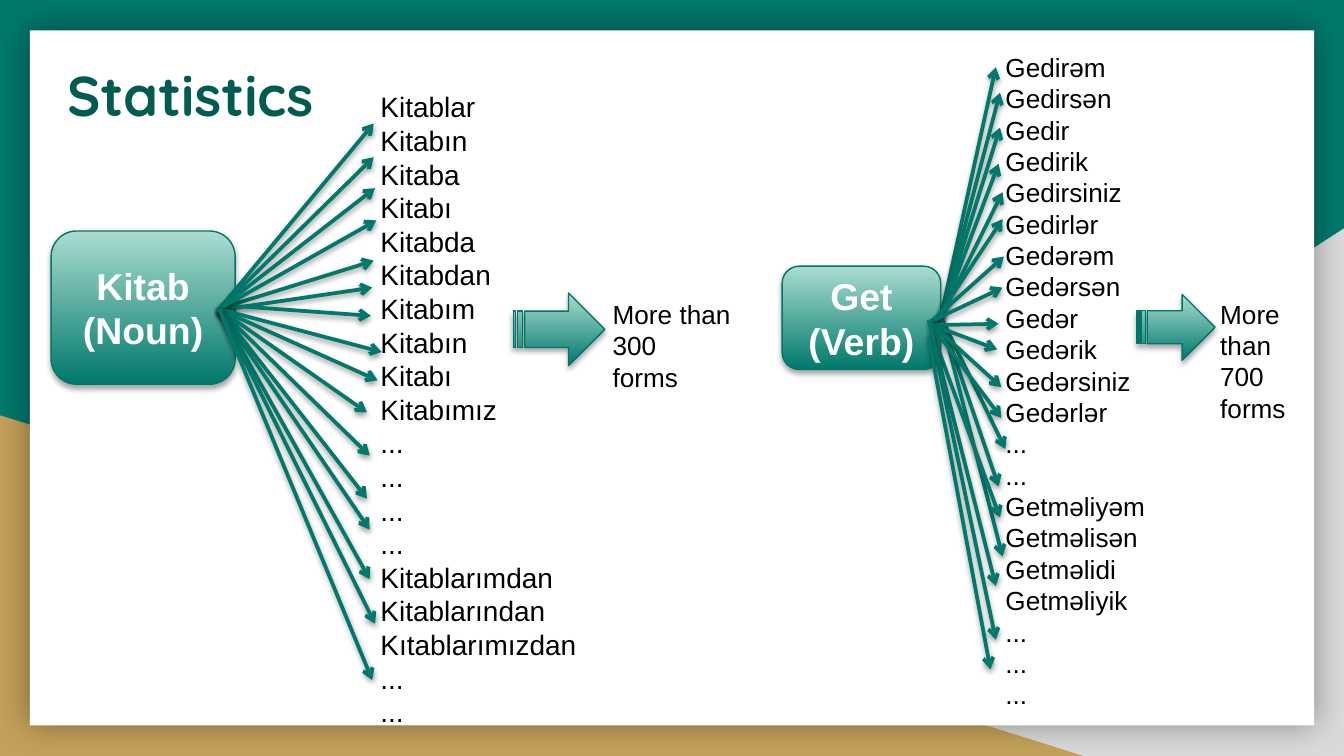
from dataclasses import dataclass

from lxml.etree import SubElement
from pptx import Presentation
from pptx.dml.color import RGBColor
from pptx.enum.shapes import MSO_CONNECTOR, MSO_SHAPE
from pptx.enum.text import MSO_ANCHOR, MSO_AUTO_SIZE, PP_ALIGN
from pptx.oxml.ns import qn
from pptx.util import Pt

TEAL = RGBColor(0x00, 0x79, 0x6B)
EDGE = RGBColor(0x00, 0x76, 0x69)
MINT = RGBColor(0xAB, 0xDC, 0xD1)
DEEP = RGBColor(0x00, 0x5B, 0x50)
SAND = RGBColor(0xC4, 0xA1, 0x5A)
GREY = RGBColor(0xD9, 0xD9, 0xD9)
WHITE = RGBColor(0xFF, 0xFF, 0xFF)
BLACK = RGBColor(0x00, 0x00, 0x00)
LINE_HEIGHT = 1.2

Point = tuple[float, float]
Box = tuple[float, float, float, float]


@dataclass
class Shadow:
    alpha: int
    blur: float
    dist: float = 0
    angle: int = 90


@dataclass
class Fan:
    start: Point
    ends: list[Point]


@dataclass
class WordGroup:
    root: list[str]
    root_box: Box
    forms: list[str]
    forms_box: Box
    size: int
    fans: list[Fan]
    arrow_box: Box
    total: list[str]
    total_box: Box


DOTS = "..."
GROUPS = [
    WordGroup(
        ["Kitab (Noun)"], (27.4, 123.8, 98.6, 82.1),
        ["Kitablar", "Kitabın", "Kitaba", "Kitabı", "Kitabda", "Kitabdan", "Kitabım",
         "Kitabın", "Kitabı", "Kitabımız", *[DOTS] * 4, "Kitablarımdan",
         "Kitablarından", "Kıtablarımızdan", *[DOTS] * 2],
        (196.6, 44.6, 119.5, 352.8), 15,
        [Fan((123.8, 163.4), [(200.2, 139.7)]),
         Fan((116.6, 166.3), [(199.4, 154.1)]),
         Fan((118.1, 163.4), [(198.7, 169.2)]),
         Fan((117.4, 165.6), [
             (200.2, 66.2), (200.2, 84.2), (200.9, 100.8), (201.6, 118.1),
             (204.5, 188.6), (202.3, 203.8), (196.6, 221), (198, 244.1),
             (196.6, 267.1), (198, 283.7), (198, 310.3), (200.9, 334.1),
             (199.4, 364.3)])],
        (275, 157, 49, 38.9), ["More than 300", "forms"], (321.1, 156.2, 87.1, 58.3)),
    WordGroup(
        ["Get", "(Verb)"], (419, 142.6, 85, 55.4),
        ["Gedirəm", "Gedirsən", "Gedir", "Gedirik", "Gedirsiniz", "Gedirlər",
         "Gedərəm", "Gedərsən", "Gedər", "Gedərik", "Gedərsiniz", "Gedərlər",
         *[DOTS] * 2, "Getməliyəm", "Getməlisən", "Getməlidi", "Getməliyik",
         *[DOTS] * 3],
        (531.4, 23.8, 92.2, 363.6), 14,
        [Fan((504, 169.9), [
            (533.5, 36), (535.7, 49.7), (535.7, 68.4), (535, 87.8),
            (537.1, 103), (538.6, 240.5), (535, 260.6), (537.1, 298.1)]),
         Fan((500.4, 172.8), [(537.1, 117.4)]),
         Fan((499, 172.1), [(537.8, 137.5)]),
         Fan((500.4, 171.4), [(537.1, 154.1)]),
         Fan((501.1, 174.2), [(535, 173.5)]),
         Fan((501.8, 175), [(534.2, 187.2)]),
         Fan((498.2, 172.8), [(536.4, 207.4)]),
         Fan((501.1, 177.1), [(536.4, 223.9)]),
         Fan((499, 177.1), [(535.7, 277.2)]),
         Fan((497.5, 171.4), [(533.5, 313.9)]),
         Fan((499, 178.6), [(533.5, 342.7)]),
         Fan((497.5, 180.7), [(530.6, 358.6)])],
        (609.1, 157.7, 41.8, 35.3), ["More than 700", "forms"], (646.6, 156.2, 67, 74.9)),
]


def pts(values) -> list[Pt]:
    return [Pt(v) for v in values]


def place(sp, box: Box) -> None:
    sp.left, sp.top, sp.width, sp.height = pts(box)


def add_shadow(sp, shadow: Shadow) -> None:
    sp_pr = sp.element.spPr
    effects = sp_pr.find(qn("a:effectLst"))
    if effects is None:
        effects = SubElement(sp_pr, qn("a:effectLst"))
    outer = SubElement(effects, qn("a:outerShdw"), blurRad=str(Pt(shadow.blur)),
                       dist=str(Pt(shadow.dist)), dir=str(shadow.angle * 60000),
                       algn="ctr", rotWithShape="0")
    color = SubElement(outer, qn("a:srgbClr"), val=str(BLACK))
    SubElement(color, qn("a:alpha"), val=str(shadow.alpha * 1000))


def write(tf, lines: list[str], *, size: float, color: RGBColor = BLACK,
          font: str = "Arial", bold: bool = False, align=PP_ALIGN.LEFT,
          anchor=MSO_ANCHOR.TOP, spacing: float | None = LINE_HEIGHT) -> None:
    tf.auto_size = MSO_AUTO_SIZE.NONE
    tf.word_wrap = True
    tf.vertical_anchor = anchor
    for i, line in enumerate(lines):
        p = tf.paragraphs[0] if i == 0 else tf.add_paragraph()
        p.alignment = align
        p.space_before = p.space_after = Pt(0)
        if spacing:
            p.line_spacing = Pt(round(size * spacing, 2))
        r = p.add_run()
        r.text = line
        r.font.name, r.font.size, r.font.bold = font, Pt(size), bold
        r.font.color.rgb = color


def remove_bullets(tf) -> None:
    for p in tf.paragraphs:
        p_pr = p._p.get_or_add_pPr()
        p_pr.set("marL", "0")
        p_pr.set("indent", "0")
        SubElement(p_pr, qn("a:buNone"))


def add_backdrop(s, kind, box: Box, color: RGBColor, layer: int):
    """Add a flat shape below the placeholders."""
    sp = s.shapes.add_shape(kind, *pts(box))
    sp.fill.solid()
    sp.fill.fore_color.rgb = color
    sp.line.fill.background()
    sp.shadow.inherit = False
    s.shapes.element.insert(2 + layer, sp.element)
    return sp


def add_glossy(s, kind, box: Box):
    sp = s.shapes.add_shape(kind, *pts(box))
    sp.fill.gradient()
    sp.fill.gradient_angle = 90
    for stop, color, position in zip(sp.fill.gradient_stops, (TEAL, MINT), (0, 1)):
        stop.color.rgb, stop.position = color, position
    sp.line.color.rgb, sp.line.width = EDGE, Pt(0.75)
    sp.shadow.inherit = False
    add_shadow(sp, Shadow(35, 3.1, 1.8))
    return sp


def add_fan(s, fan: Fan) -> None:
    for end in fan.ends:
        cn = s.shapes.add_connector(MSO_CONNECTOR.STRAIGHT, *pts(fan.start + end))
        cn.line.color.rgb, cn.line.width = TEAL, Pt(2)
        SubElement(cn.element.spPr.find(qn("a:ln")), qn("a:tailEnd"), type="arrow")
        add_shadow(cn, Shadow(38, 3.1, 1.6))


def add_group(s, group: WordGroup, body) -> None:
    root = add_glossy(s, MSO_SHAPE.ROUNDED_RECTANGLE, group.root_box)
    write(root.text_frame, group.root, size=20, color=WHITE, bold=True,
          align=PP_ALIGN.CENTER, anchor=MSO_ANCHOR.MIDDLE)
    place(body, group.forms_box)
    write(body.text_frame, group.forms, size=group.size)
    remove_bullets(body.text_frame)
    for fan in group.fans:
        add_fan(s, fan)
    add_glossy(s, MSO_SHAPE.STRIPED_RIGHT_ARROW, group.arrow_box)
    total = s.shapes.add_textbox(*pts(group.total_box))
    write(total.text_frame, group.total, size=14)


prs = Presentation()
prs.slide_width, prs.slide_height = Pt(720), Pt(405)
s = prs.slides.add_slide(prs.slide_layouts[3])

# Background triangles and white panel
s.background.fill.solid()
s.background.fill.fore_color.rgb = TEAL
corner = add_backdrop(s, MSO_SHAPE.RIGHT_TRIANGLE, (282.2, 122.4, 437.8, 282.6), GREY, 0)
corner.element.spPr.find(qn("a:xfrm")).set("flipH", "1")
add_backdrop(s, MSO_SHAPE.RIGHT_TRIANGLE, (0, 222.5, 580.3, 182.5), SAND, 1)
panel = add_backdrop(s, MSO_SHAPE.RECTANGLE, (16, 16.2, 688, 372.4), WHITE, 2)
add_shadow(panel, Shadow(40, 18, 0, 0))

# Title
title = s.shapes.title
place(title, (28.8, 25.2, 156.2, 46.1))
tf = title.text_frame
tf.margin_left = tf.margin_top = tf.margin_right = tf.margin_bottom = Pt(7.2)
write(tf, ["Statistics"], size=30, color=DEEP, font="Quicksand", bold=True, spacing=None)

# Word groups
bodies = [sp for sp in s.placeholders if sp.placeholder_format.idx in (1, 2)]
for group, body in zip(GROUPS, bodies):
    add_group(s, group, body)

prs.save("out.pptx")
